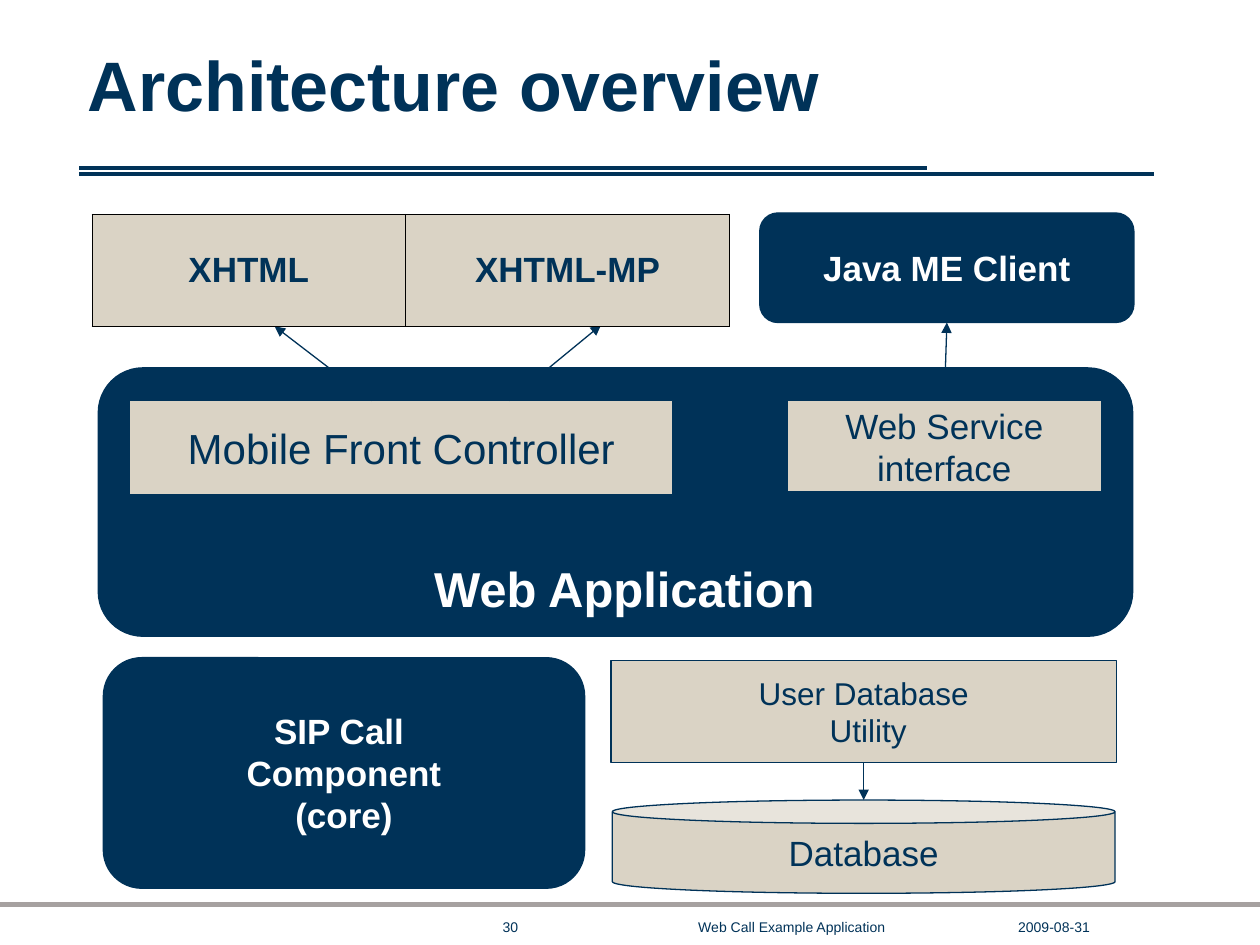
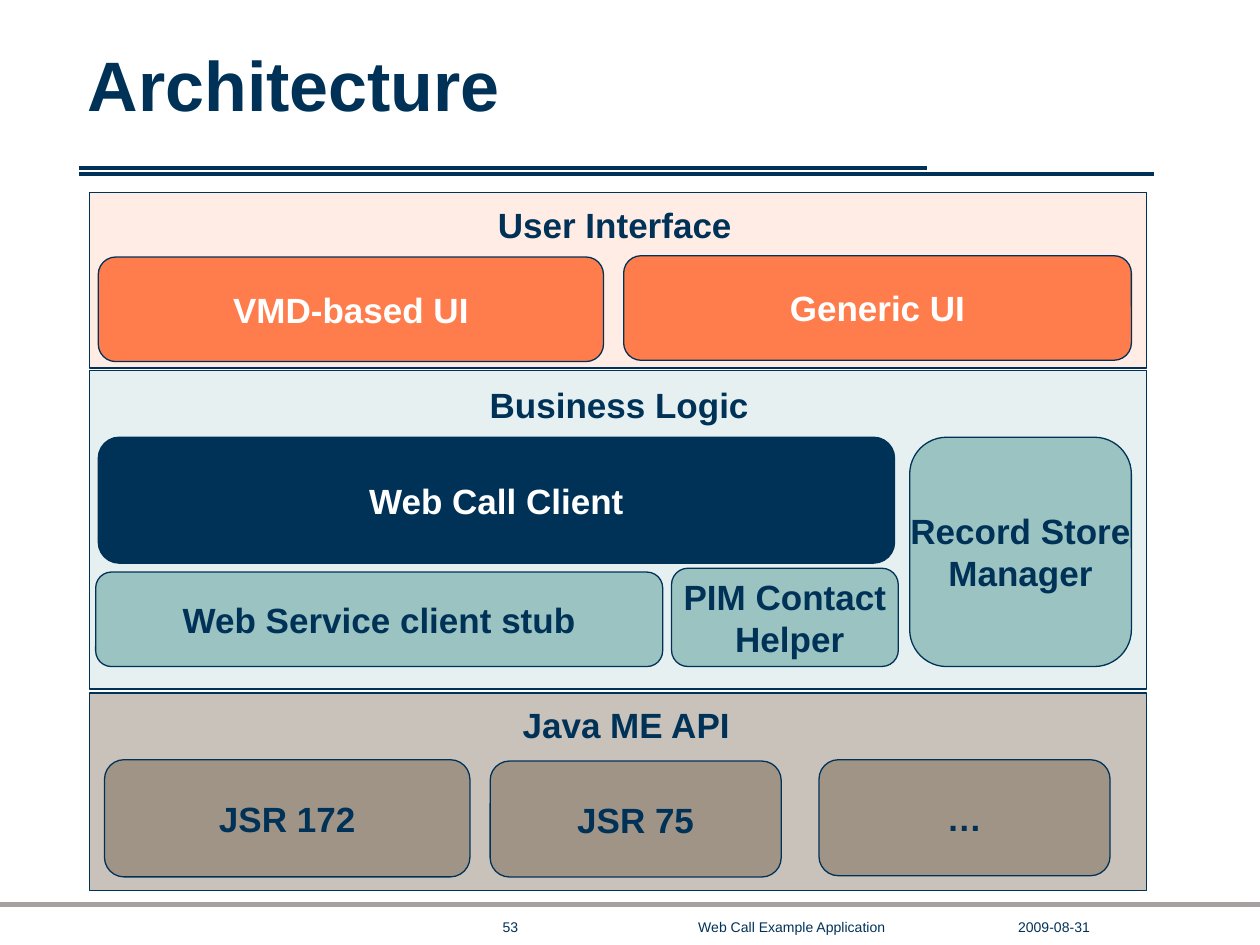
from dataclasses import dataclass

import pptx
import pptx.dml.color
import pptx.enum.shapes
import pptx.enum.text
import pptx.oxml
import pptx.oxml.ns
import pptx.util
from lxml import etree


@dataclass(frozen=True)
class Theme:
    font: str = "Arial"
    navy: str = "003258"
    white: str = "FFFFFF"
    sand: str = "DAD3C5"
    grey: str = "A6A1A0"
    blush: str = "FFECE5"
    orange: str = "FF7D4D"
    mist: str = "E6F0F0"
    teal: str = "9AC3C1"
    stone: str = "C9C2BB"
    taupe: str = "A09487"
    title: int = 40
    banner: int = 28
    large: int = 24
    label: int = 20
    small: int = 18
    footer: int = 8
    thin: float = 0.75


theme = Theme()
Shape = pptx.enum.shapes.MSO_SHAPE
Align = pptx.enum.text.PP_ALIGN
Anchor = pptx.enum.text.MSO_ANCHOR
RECT, ROUND, CAN = Shape.RECTANGLE, Shape.ROUNDED_RECTANGLE, Shape.CAN
TEXT = None  # a plain text box

deck = pptx.Presentation()
deck.slide_width = pptx.util.Inches(10)
deck.slide_height = pptx.util.Inches(7.5)

# Grid of 100 columns by 75 rows
column = deck.slide_width / 100
row = deck.slide_height / 75


def on_grid(*cells):
    """Turn alternating column and row numbers into lengths."""
    return [pptx.util.Emu(round(cell * (row if index % 2 else column)))
            for index, cell in enumerate(cells)]


def write_text(frame, text, size=theme.label, colour=theme.navy, bold=False,
               align=Align.CENTER, anchor=Anchor.MIDDLE, wrap=False):
    frame.word_wrap = wrap
    frame.vertical_anchor = anchor
    for index, words in enumerate(text.split("\n")):
        para = frame.paragraphs[0] if index == 0 else frame.add_paragraph()
        para.alignment = align
        span = para.add_run()
        span.text = words
        span.font.name = theme.font
        span.font.size = pptx.util.Pt(size)
        span.font.bold = bold
        span.font.color.rgb = pptx.dml.color.RGBColor.from_string(colour)


# Shared title rules and footer rule: ends, colour, width
rules = [
    ((0, 71.8, 100, 71.8), theme.grey, 3),
    ((6.3, 13.3, 73.6, 13.3), theme.navy, 2.25),
    ((6.3, 13.8, 91.6, 13.8), theme.navy, 2.25),
]

# Text formats used by the boxes
heading = dict(bold=True)
reversed_label = dict(bold=True, colour=theme.white)
banner = dict(bold=True, colour=theme.white, size=theme.banner)
band_left, band_width = 7.1, 83.9

# Boxes, back to front: kind, place on the grid, fill, text, format
overview_boxes = [
    (ROUND, (7.8, 29.2, 82.1, 21.3), theme.navy, "", {}),
    (CAN, (48.6, 63.5, 39.9, 7.4), theme.sand, "Database", {}),
    (RECT, (10.3, 31.8, 43.1, 7.5), theme.sand, "Mobile Front Controller",
     dict(size=theme.large)),
    (TEXT, (33.1, 43.8, 32.9, 5.7), None, "Web Application", banner),
    (RECT, (62.5, 31.8, 24.9, 7.2), theme.sand, "Web Service\ninterface", {}),
    (RECT, (48.5, 52.4, 40.1, 8.1), theme.sand, "User Database\n Utility",
     dict(size=theme.small)),
    (ROUND, (8.2, 52.2, 38.2, 18.3), theme.navy,
     "SIP Call \nComponent\n(core)", reversed_label),
    (ROUND, (60.3, 16.9, 29.7, 8.7), theme.navy, "Java ME Client", reversed_label),
]
layer_boxes = [
    # User interface
    (RECT, (band_left, 15.3, band_width, 13.9), theme.blush, "", {}),
    (TEXT, (33.6, 15.6, 30.4, 4.4), None, "User Interface", heading),
    (ROUND, (7.8, 20.4, 40.1, 8.3), theme.orange, "VMD-based UI", reversed_label),
    (ROUND, (49.5, 20.3, 40.3, 8.3), theme.orange, "Generic UI", reversed_label),
    # Business logic
    (RECT, (band_left, 29.4, band_width, 25.3), theme.mist, "", {}),
    (TEXT, (31.3, 29.9, 35.7, 4.4), None, "Business Logic", heading),
    (ROUND, (7.6, 45.4, 45, 7.5), theme.teal, "Web Service client stub", heading),
    (ROUND, (53.3, 45.1, 18, 7.8), theme.teal, "PIM Contact\n Helper", heading),
    (ROUND, (7.8, 34.7, 63.2, 10), theme.navy, "Web Call Client", reversed_label),
    (ROUND, (72.2, 34.7, 17.6, 18.2), theme.teal, "Record Store\nManager", heading),
    # Java ME API
    (RECT, (band_left, 55, band_width, 15.7), theme.stone, "", {}),
    (TEXT, (33.6, 55.3, 32.2, 4.4), None, "Java ME API", heading),
    (ROUND, (8.3, 60.3, 29, 9.3), theme.taupe, "JSR 172", heading),
    (ROUND, (38.9, 60.4, 23.1, 9.2), theme.taupe, "JSR 75", heading),
    (ROUND, (65, 60.3, 23.1, 9.2), theme.taupe, "…", heading),
]

# Arrows: ends, box and side joined at the start, box and side at the end
overview_arrows = [
    ((29.5, 31.8, 21.8, 25.9), None, None),
    ((40.4, 31.8, 47.7, 25.8), None, None),
    ((75, 31.8, 75, 25.6), ("Web Service\ninterface", 0), ("Java ME Client", 2)),
    ((68.55, 60.5, 68.55, 63.5), ("User Database\n Utility", 2), None),
]

pages = [
    ("Architecture overview", "30", overview_boxes, overview_arrows),
    ("Architecture", "53", layer_boxes, []),
]

for title, number, boxes, arrows in pages:
    page = deck.slides.add_slide(deck.slide_layouts[6])

    # Title
    box = page.shapes.add_textbox(*on_grid(6, 3.3, 85.6, 6.7))
    frame = box.text_frame
    frame.margin_top = frame.margin_bottom = frame.margin_right = 0
    write_text(frame, title, size=theme.title, bold=True, align=Align.LEFT,
               anchor=Anchor.TOP, wrap=True)

    # Footer
    for place, text, align, wrap in [
        ((38.9, 72.4, 6.9, 2.4), number, Align.LEFT, True),
        ((54.4, 72.4, 16.9, 2.4), "Web Call Example Application", Align.CENTER, False),
        ((79.8, 72.4, 7.7, 2.4), "2009-08-31", Align.RIGHT, False),
    ]:
        box = page.shapes.add_textbox(*on_grid(*place))
        write_text(box.text_frame, text, size=theme.footer, align=align,
                   anchor=Anchor.TOP, wrap=wrap)

    # Boxes
    drawn = {}
    for kind, place, fill, text, text_format in boxes:
        if kind is TEXT:
            box = page.shapes.add_textbox(*on_grid(*place))
        else:
            box = page.shapes.add_shape(kind, *on_grid(*place))
            box.shadow.inherit = False
            box.fill.solid()
            box.fill.fore_color.rgb = pptx.dml.color.RGBColor.from_string(fill)
            box.line.color.rgb = pptx.dml.color.RGBColor.from_string(theme.navy)
            box.line.width = pptx.util.Pt(theme.thin)
        if text:
            write_text(box.text_frame, text, **text_format)
            drawn[text] = box

    # Rules and arrows
    lines = [(ends, colour, width, None, None, False) for ends, colour, width in rules]
    lines += [(ends, theme.navy, theme.thin, start, end, True)
              for ends, start, end in arrows]
    for ends, colour, width, start, end, pointed in lines:
        line = page.shapes.add_connector(
            pptx.enum.shapes.MSO_CONNECTOR.STRAIGHT, *on_grid(*ends))
        line.line.color.rgb = pptx.dml.color.RGBColor.from_string(colour)
        line.line.width = pptx.util.Pt(width)
        if start:
            line.begin_connect(drawn[start[0]], start[1])
        if end:
            line.end_connect(drawn[end[0]], end[1])
        if pointed:
            etree.SubElement(line.line._get_or_add_ln(),
                             pptx.oxml.ns.qn("a:tailEnd"), type="triangle")
        etree.SubElement(line._element.spPr, pptx.oxml.ns.qn("a:effectLst"))

# Markup table on the overview page
formats = [("XHTML", 24.9), ("XHTML-MP", 25.7)]
table = deck.slides[0].shapes.add_table(
    1, len(formats), *on_grid(7.3, 17, 50.6, 8.9)).table
for index, (text, width) in enumerate(formats):
    table.columns[index].width = on_grid(width)[0]
    cell = table.cell(0, index)
    write_text(cell.text_frame, text, bold=True, wrap=True)
    cell.vertical_anchor = Anchor.MIDDLE
    properties = cell._tc.get_or_add_tcPr()
    for side in ("lnL", "lnR", "lnT", "lnB"):
        properties.append(pptx.oxml.parse_xml(
            f'<a:{side} {pptx.oxml.ns.nsdecls("a")} w="{pptx.util.Pt(0.45)}">'
            f'<a:solidFill><a:srgbClr val="000000"/></a:solidFill></a:{side}>'))
    cell.fill.solid()
    cell.fill.fore_color.rgb = pptx.dml.color.RGBColor.from_string(theme.sand)

deck.save("out.pptx")
